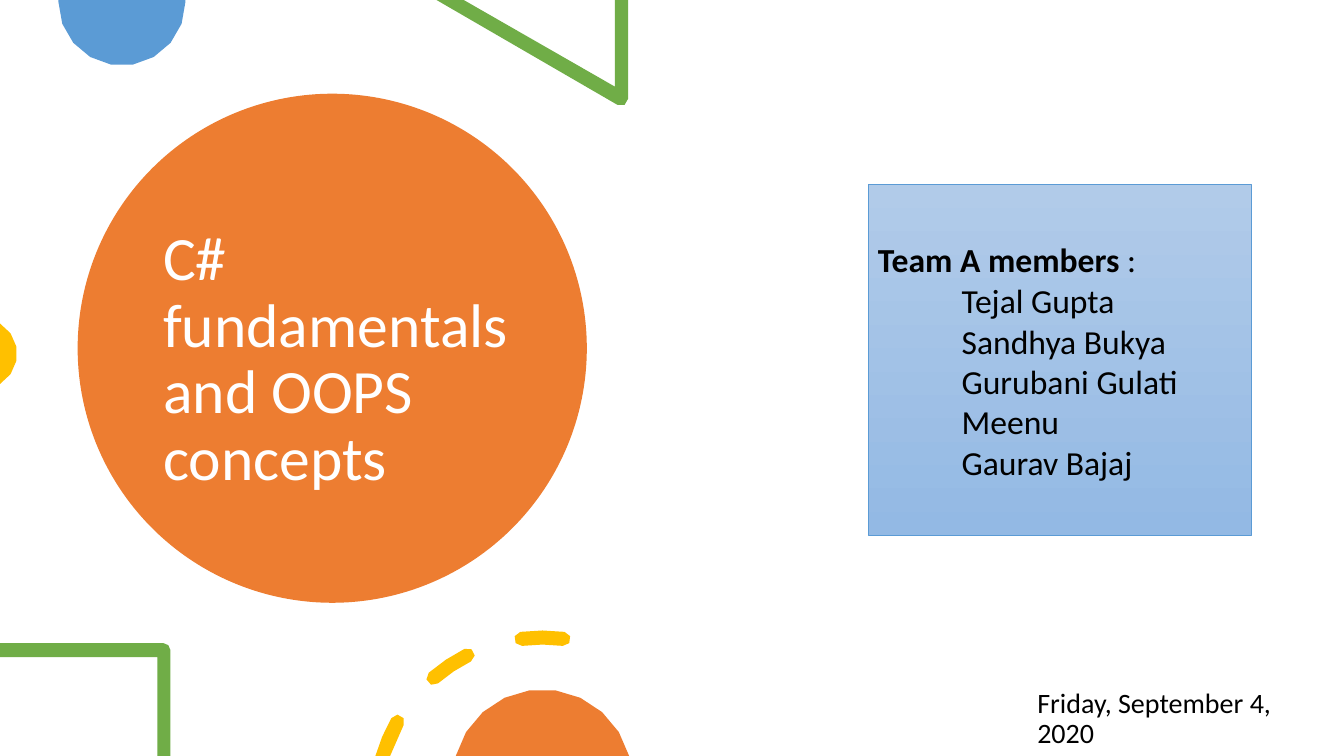
from math import acos, ceil, cos, degrees, radians, sin

from pptx import Presentation
from pptx.dml.color import RGBColor
from pptx.enum import shapes, text
from pptx.util import Inches, Pt

ORANGE = RGBColor(0xED, 0x7D, 0x31)
BLUE = RGBColor(0x5B, 0x9B, 0xD5)
GREEN = RGBColor(0x70, 0xAD, 0x47)
YELLOW = RGBColor(0xFF, 0xC0, 0x00)
PANEL_TOP = RGBColor(0xB1, 0xCB, 0xE9)
PANEL_BOTTOM = RGBColor(0x93, 0xB9, 0xE4)
BLACK = RGBColor(0, 0, 0)
WHITE = RGBColor(0xFF, 0xFF, 0xFF)

WIDTH, HEIGHT = 13.33, 7.5
ARC_TOLERANCE = 0.01
MEMBERS = ["Tejal Gupta", "Sandhya Bukya", "Gurubani Gulati", "Meenu", "Gaurav Bajaj"]


def add_text(paragraph, words, size=24, color=BLACK, bold=False, spacing=0.9, indent=0):
    paragraph.alignment = text.PP_ALIGN.LEFT
    paragraph.line_spacing = spacing
    if indent:
        properties = paragraph._p.get_or_add_pPr()
        properties.set("marL", str(Inches(indent)))
        properties.set("indent", "0")
    run = paragraph.add_run()
    run.text = words
    run.font.name = "Calibri"
    run.font.size = Pt(size)
    run.font.bold = bold
    run.font.color.rgb = color


def add_text_box(slide, box, words, **text_format):
    frame = slide.shapes.add_textbox(*map(Inches, box)).text_frame
    frame.word_wrap = True
    frame.vertical_anchor = text.MSO_ANCHOR.MIDDLE
    add_text(frame.paragraphs[0], words, **text_format)


def paint(shape, color):
    shape.shadow.inherit = False
    shape.fill.solid()
    shape.fill.fore_color.rgb = color
    shape.line.fill.background()


def point_at(x, y, radius, angle):
    return x + radius * cos(radians(angle)), y + radius * sin(radians(angle))


def arc(x, y, radius, start, end):
    widest = 2 * degrees(acos(1 - ARC_TOLERANCE / radius))
    steps = ceil(abs(end - start) / widest)
    return [point_at(x, y, radius, start + (end - start) * i / steps)
            for i in range(steps + 1)]


def add_outline(slide, color, *contours):
    contours = [[(Inches(x), Inches(y)) for x, y in contour] for contour in contours]
    builder = slide.shapes.build_freeform(*contours[0][0])
    builder.add_line_segments(contours[0][1:])
    for contour in contours[1:]:
        builder.move_to(*contour[0])
        builder.add_line_segments(contour[1:])
    paint(builder.convert_to_shape(), color)


def add_title(slide, left, top, diameter):
    circle = slide.shapes.add_shape(
        shapes.MSO_SHAPE.OVAL, *map(Inches, (left, top, diameter, diameter)))
    paint(circle, ORANGE)
    add_text_box(slide, (left + 0.75, top + 0.42, 3.76, 4.45),
                 "C# fundamentals and OOPS concepts", size=44, color=WHITE)


def add_top_and_left_accents(slide):
    add_outline(slide, BLUE, [(1.84, 0), (0.58, 0)] + arc(1.21, 0.02, 0.63, 180, 0))
    add_outline(slide, GREEN, [(6.23, 0), (6.1, 0), (6.1, 0.86), (4.6, 0), (4.33, 0)]
                + arc(6.16, 0.98, 0.07, 120, 0))
    add_outline(slide, YELLOW, arc(-0.18, 3.51, 0.35, -59, 59))


def ring_dash(x, y, start, end, cut=None, radius=1.655, half=0.07):
    def cap(angle, turn):
        return arc(*point_at(x, y, radius, angle), half, turn, turn + 180)[1:-1]

    outline = arc(x, y, radius + half, start, end) + cap(end, end)
    outline += arc(x, y, radius - half, end, cut or start)
    return outline if cut else outline + cap(start, start + 180)


def add_bottom_accents(slide, bottom):
    add_outline(slide, GREEN, [(0, 6.38)] + arc(1.62, 6.45, 0.07, 270, 360)
                + [(1.69, bottom), (1.56, bottom), (1.56, 6.52), (0, 6.52)])
    x, y = 5.38, 7.98
    add_outline(slide, YELLOW, ring_dash(x, y, 196.1, 209.7, cut=197.6),
                ring_dash(x, y, 229.2, 243.4), ring_dash(x, y, 262.7, 277.3))
    add_outline(slide, ORANGE, arc(x, bottom + 0.23, 0.89, 195, 345))


def add_team(slide, box):
    panel = slide.shapes.add_shape(shapes.MSO_SHAPE.RECTANGLE, *map(Inches, box))
    panel.shadow.inherit = False
    panel.fill.gradient()
    panel.fill.gradient_angle = 270
    for stop, color in zip(panel.fill.gradient_stops, (PANEL_TOP, PANEL_BOTTOM)):
        stop.color.rgb = color
    panel.line.color.rgb = BLUE
    panel.line.width = Pt(0.5)
    frame = panel.text_frame
    frame.word_wrap = True
    frame.vertical_anchor = text.MSO_ANCHOR.TOP
    frame.margin_top = Inches(0.59)
    heading = frame.paragraphs[0]
    add_text(heading, "Team A members", bold=True)
    add_text(heading, " :")
    for member in MEMBERS:
        add_text(frame.add_paragraph(), member, spacing=1.0, indent=0.83)


def main():
    presentation = Presentation()
    presentation.slide_width = Inches(WIDTH)
    presentation.slide_height = Inches(HEIGHT)
    slide = presentation.slides.add_slide(presentation.slide_layouts[6])
    add_title(slide, 0.77, 0.93, 5.05)
    add_top_and_left_accents(slide)
    add_team(slide, (8.61, 1.83, 3.8, 3.48))
    add_bottom_accents(slide, HEIGHT)
    add_text_box(slide, (10.19, 6.77, 3.14, 0.73), "Friday, September 4, 2020", size=20)
    presentation.save("out.pptx")


if __name__ == "__main__":
    main()
